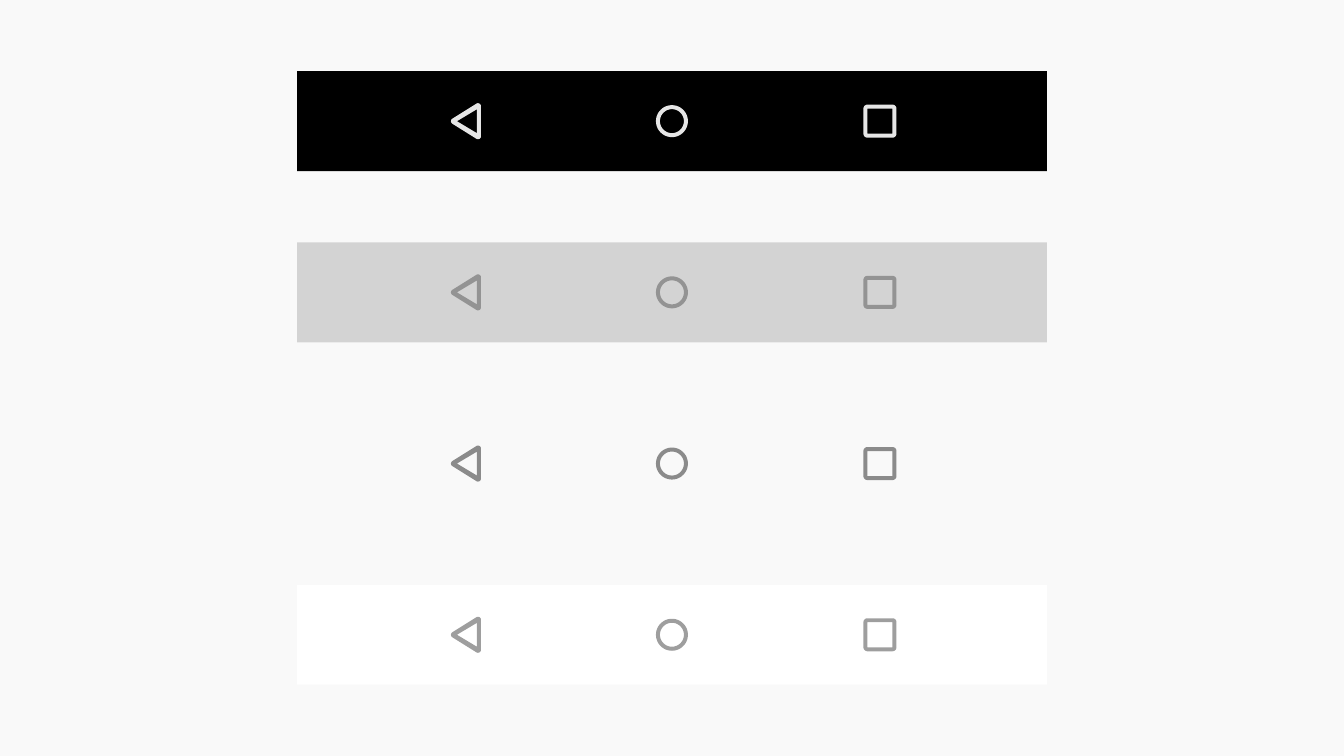
from dataclasses import dataclass
from math import atan2, cos, pi, sin, tau
from typing import Optional

from lxml import etree
from pptx import Presentation
from pptx import util as u
from pptx.dml import color
from pptx.enum import shapes
from pptx.oxml import ns

SCALE = 914400 / 100.8  # EMU per px
PAGE_W, PAGE_H = 1344, 756
BAR_W, BAR_H = 750, 100
ARC_STEPS = 48  # points on a full turn

Point = tuple[float, float]


@dataclass(frozen=True)
class Paint:
    tone: str
    opacity: int = 100


@dataclass(frozen=True)
class NavBar:
    icons: Paint
    back: Optional[Paint] = None


@dataclass(frozen=True)
class Icon:
    """Clockwise corners rounded by a radius, around a hole; measured from the bar's centre."""
    corners: list[Point]
    radius: int
    hole: list[Point]


def emu(px: float) -> u.Emu:
    return u.Emu(round(px * SCALE))


def rgb(tone: str) -> color.RGBColor:
    return color.RGBColor.from_string(tone)


def arc(centre: Point, radius: int, start: float, sweep: float) -> list[Point]:
    steps = max(2, round(ARC_STEPS * sweep / tau))
    angles = [start + sweep * i / steps for i in range(steps + 1)]
    return [(centre[0] + radius * cos(a), centre[1] + radius * sin(a)) for a in angles]


def rounded(corners: list[Point], radius: int) -> list[Point]:
    """Outline at a fixed distance outside the corners."""
    if len(corners) == 1:
        return arc(corners[0], radius, 0, tau)
    outline: list[Point] = []
    for i, (x, y) in enumerate(corners):
        before, after = corners[i - 1], corners[(i + 1) % len(corners)]
        start = atan2(y - before[1], x - before[0]) - pi / 2
        end = atan2(after[1] - y, after[0] - x) - pi / 2
        outline += arc((x, y), radius, start, (end - start) % tau)
    return outline


def paint_shape(shape, paint: Paint) -> None:
    shape.shadow.inherit = False
    shape.line.fill.background()
    shape.fill.solid()
    shape.fill.fore_color.rgb = rgb(paint.tone)
    if paint.opacity < 100:
        tone = shape.fill._xPr.find(".//" + ns.qn("a:srgbClr"))
        etree.SubElement(tone, ns.qn("a:alpha"), val=str(paint.opacity * 1000))


def draw_icon(page, icon: Icon, centre: Point, paint: Paint):
    outer, hole = (
        [(emu(centre[0] + x), emu(centre[1] + y)) for x, y in outline]
        for outline in (rounded(icon.corners, icon.radius), icon.hole)
    )
    builder = page.shapes.build_freeform(*outer[0])
    builder.add_line_segments(outer[1:])
    builder.move_to(*hole[0])
    builder.add_line_segments(hole[1:])
    shape = builder.convert_to_shape()
    paint_shape(shape, paint)
    return shape


def draw_bar(page, bar: NavBar, top: float) -> None:
    parts = []
    if bar.back:
        left = (PAGE_W - BAR_W) / 2
        back = page.shapes.add_shape(
            shapes.MSO_SHAPE.RECTANGLE, emu(left), emu(top), emu(BAR_W), emu(BAR_H))
        paint_shape(back, bar.back)
        parts.append(back)
    centre = (PAGE_W / 2, top + BAR_H / 2)
    parts += [draw_icon(page, icon, centre, bar.icons) for icon in ICONS]
    page.shapes.add_group_shape(parts)


# Icons: back triangle, home circle, recent-apps square
HALF = 12.5
SQUARE = [(208 + x * HALF, y * HALF) for x, y in ((-1, -1), (1, -1), (1, 1), (-1, 1))]
ICONS = [
    Icon([(-218, 0), (-194, -15), (-194, 15)], 3, [(-215, 0), (-195, -12), (-195, 12)]),
    Icon([(0, 0)], 16, arc((0, 0), 12, 0, tau)),
    Icon(SQUARE, 4, SQUARE),
]

BARS = [
    NavBar(Paint("E6E6E6"), Paint("000000")),
    NavBar(Paint("000000", 30), Paint("000000", 15)),
    NavBar(Paint("000000", 44)),
    NavBar(Paint("000000", 38), Paint("FFFFFF")),
]


def main() -> None:
    deck = Presentation()
    deck.slide_width, deck.slide_height = emu(PAGE_W), emu(PAGE_H)
    page = deck.slides.add_slide(deck.slide_layouts[6])
    page.background.fill.solid()
    page.background.fill.fore_color.rgb = rgb("F9F9F9")

    # Bars share the height with equal gaps above, between and below
    gap = (PAGE_H - len(BARS) * BAR_H) / (len(BARS) + 1)
    for i, bar in enumerate(BARS):
        draw_bar(page, bar, gap + i * (BAR_H + gap))

    deck.save("out.pptx")


if __name__ == "__main__":
    main()
